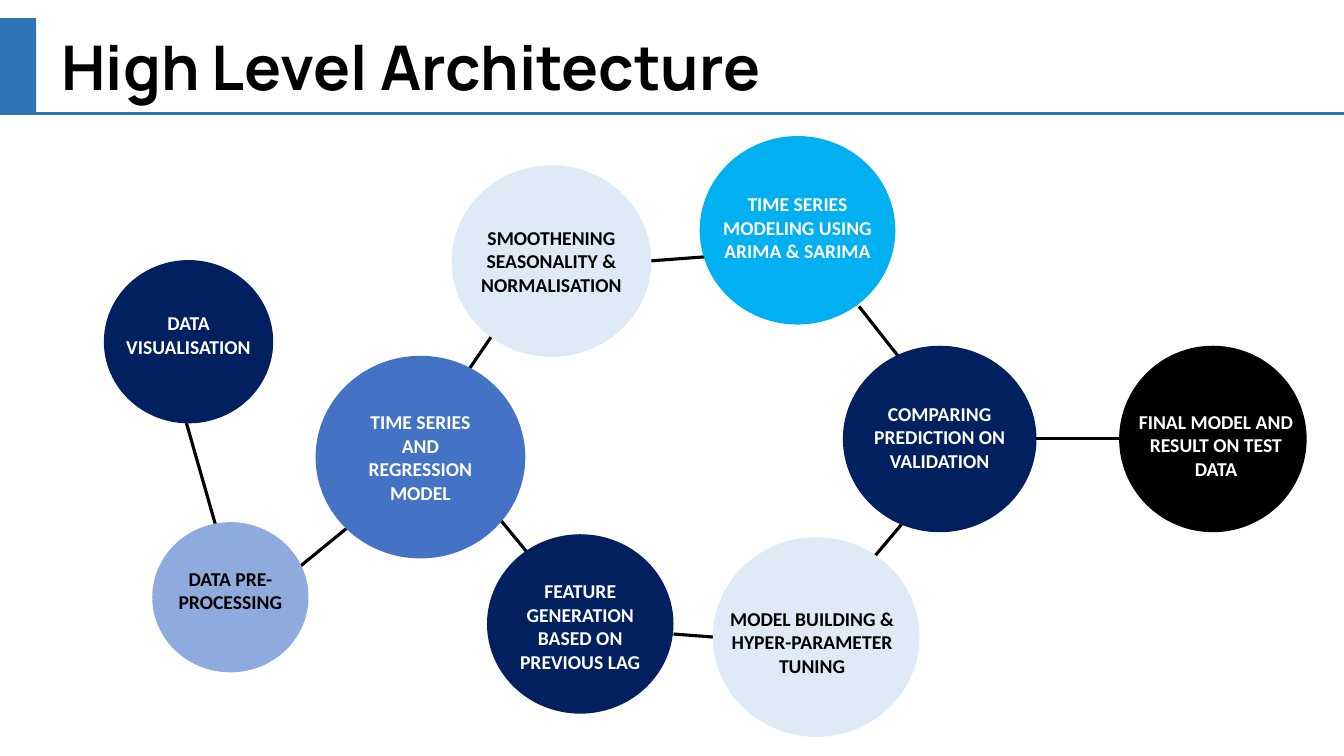
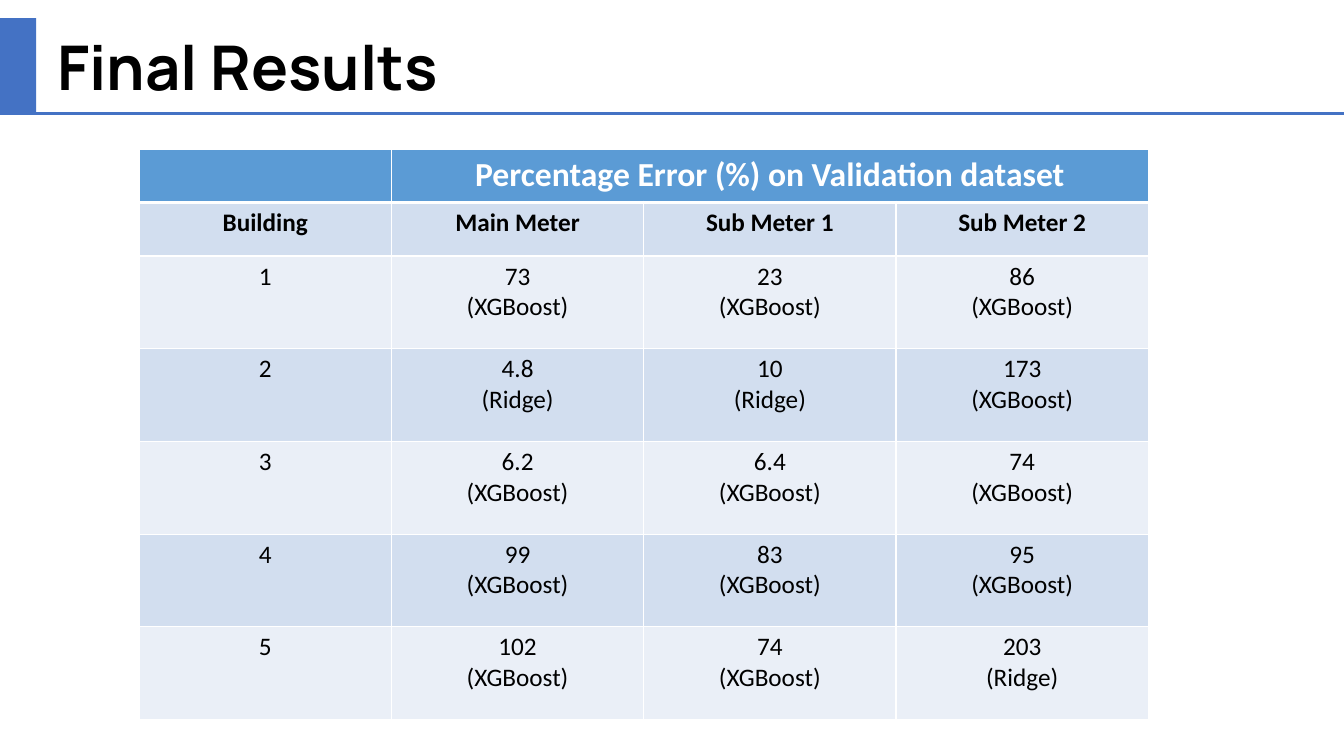
from lxml import etree
from pptx import Presentation
from pptx.dml.color import RGBColor
from pptx.enum import shapes, text
from pptx.oxml import ns
from pptx.util import Inches, Pt

COLORS = {
    "black": "000000", "white": "FFFFFF", "navy": "002060", "steel": "2E75B6",
    "blue": "4472C4", "soft": "8FAADC", "pale": "DEEBF7", "sky": "00B0F0",
    "head": "5B9BD5", "band": "D2DEEF", "band_light": "EAEFF7",
}
TITLE_FONT, BODY_FONT = "Manrope", "Calibri"
SLIDE_W, SLIDE_H = 13.33, 7.5

# left, top, width, height, fill, text colour, label, (label shift x, y, width)
STEPS = [
    (0.03, 1.28, 1.68, 1.62, "navy", "white", "DATA VISUALISATION", (0, -0.07, 1.71)),
    (0.51, 3.88, 1.55, 1.49, "soft", "black", "DATA PRE-PROCESSING", (0, -0.07, 1.75)),
    (2.13, 2.23, 2.08, 2.01, "blue", "white", "TIME SERIES AND REGRESSION MODEL", (0, 0, 1.43)),
    (3.48, 0.34, 1.98, 1.9, "pale", "black", "SMOOTHENING SEASONALITY & NORMALISATION",
     (0, 0, 1.84)),
    (5.94, 0.05, 1.94, 1.87, "sky", "white", "TIME SERIES MODELING USING ARIMA & SARIMA",
     (0, -0.03, 1.98)),
    (3.83, 4, 1.85, 1.78, "navy", "white", "FEATURE GENERATION BASED ON PREVIOUS LAG",
     (0, 0.02, 1.7)),
    (6.07, 4.03, 2.05, 1.98, "pale", "black", "MODEL BUILDING & HYPER-PARAMETER TUNING",
     (-0.04, 0.05, 2.03)),
    (7.36, 2.13, 1.92, 1.85, "navy", "white", "COMPARING PREDICTION ON VALIDATION",
     (0, -0.02, 1.81)),
    (10.1, 2.13, 1.86, 1.85, "black", "white", "FINAL MODEL AND RESULT ON TEST DATA",
     (0.03, 0.06, 1.81)),
]
# Ends of the lines between steps; the circles cover the inner parts
LINKS = [
    (5.68, 4.99, 6.07, 5.02), (6.37, 1.22, 4.76, 1.34), (4.63, 4.67, 3.58, 3.39),
    (1.56, 4.66, 3.27, 3.26), (4.39, 1.28, 3.26, 2.94), (0.67, 2.27, 1.31, 4.51),
    (8, 2.35, 7.52, 1.74), (8.18, 3.62, 7.59, 4.32), (10.1, 3.05, 9.28, 3.05),
]

SPAN_HEAD = "Percentage Error (%) on Validation dataset"
COLUMN_HEADS = ["Building", "Main Meter", "Sub Meter 1", "Sub Meter 2"]
RESULTS = [
    ["1", "73\n(XGBoost)", "23\n(XGBoost)", "86\n(XGBoost)"],
    ["2", "4.8\n(Ridge)", "10\n(Ridge)", "173\n(XGBoost)"],
    ["3", "6.2\n(XGBoost)", "6.4\n(XGBoost)", "74\n(XGBoost)"],
    ["4", "99\n(XGBoost)", "83\n(XGBoost)", "95\n(XGBoost)"],
    ["5", "102\n(XGBoost)", "74\n(XGBoost)", "203\n(Ridge)"],
]


def rgb(name):
    return RGBColor.from_string(COLORS[name])


def style(tf, font, size, color, bold, align):
    for p in tf.paragraphs:
        p.alignment = align
        p.font.name, p.font.size, p.font.bold = font, Pt(size), bold
        p.font.color.rgb = rgb(color)


def add_filled(slide, kind, left, top, width, height, color):
    sp = slide.shapes.add_shape(kind, Inches(left), Inches(top), Inches(width), Inches(height))
    sp.shadow.inherit = False
    sp.fill.solid()
    sp.fill.fore_color.rgb = rgb(color)
    sp.line.fill.background()


def add_line(slide, x1, y1, x2, y2, color):
    line = slide.shapes.add_connector(
        shapes.MSO_CONNECTOR.STRAIGHT, Inches(x1), Inches(y1), Inches(x2), Inches(y2))
    line.line.color.rgb = rgb(color)
    line.line.width = Pt(2.25)
    etree.SubElement(line._element.spPr, ns.qn("a:effectLst"))


def add_titled_slide(prs, title, left, color):
    """Add a slide with its title, side band and rule."""
    slide = prs.slides.add_slide(prs.slide_layouts[5])
    sp = slide.shapes.title
    sp.left, sp.top, sp.width, sp.height = (Inches(n) for n in (left, 0.24, 12, 0.84))
    tf = sp.text_frame
    tf.text = title
    tf.auto_size = text.MSO_AUTO_SIZE.NONE
    tf.vertical_anchor = text.MSO_ANCHOR.TOP
    style(tf, TITLE_FONT, 44, "black", True, text.PP_ALIGN.LEFT)
    add_filled(slide, shapes.MSO_SHAPE.RECTANGLE, 0, 0.18, 0.36, 0.94, color)
    add_line(slide, 0, 1.13, SLIDE_W, 1.13, color)
    return slide


def add_step(slide, left, top, width, height, fill, color, label, shift):
    """Add a circle and a label centred on it, moved by shift."""
    add_filled(slide, shapes.MSO_SHAPE.OVAL, left, top, width, height, fill)
    dx, dy, label_w = shift
    label_left = left + (width - label_w) / 2 + dx
    sp = slide.shapes.add_textbox(
        Inches(label_left), Inches(top + dy), Inches(label_w), Inches(height))
    tf = sp.text_frame
    tf.word_wrap = True
    tf.vertical_anchor = text.MSO_ANCHOR.MIDDLE
    tf.text = label
    style(tf, BODY_FONT, 14, color, True, text.PP_ALIGN.CENTER)


def add_flow(slide, left, top):
    for x1, y1, x2, y2 in LINKS:
        add_line(slide, left + x1, top + y1, left + x2, top + y2, "black")
    for x, y, *rest in STEPS:
        add_step(slide, left + x, top + y, *rest)


def set_borders(cell, top, bottom):
    """Give a cell white borders; top and bottom are widths in points."""
    tc_pr = cell._tc.get_or_add_tcPr()
    for i, (side, width) in enumerate(zip("LRTB", (1, 1, top, bottom))):
        ln = etree.Element(ns.qn(f"a:ln{side}"), w=str(Pt(width)))
        fill = etree.SubElement(ln, ns.qn("a:solidFill"))
        etree.SubElement(fill, ns.qn("a:srgbClr"), val=COLORS["white"])
        tc_pr.insert(i, ln)


def add_results(slide, left, top, width):
    rows = [["", SPAN_HEAD, "", ""], COLUMN_HEADS] + RESULTS
    heights = [0.53, 0.53] + [0.92] * len(RESULTS)
    table = slide.shapes.add_table(
        len(rows), len(COLUMN_HEADS), Inches(left), Inches(top),
        Inches(width), Inches(sum(heights))).table
    table.horz_banding = False
    for r, (values, height) in enumerate(zip(rows, heights)):
        table.rows[r].height = Inches(height)
        fill = "head" if r == 0 else ("band_light", "band")[r % 2]
        size, color = (24, "white") if r == 0 else (18, "black")
        for c, value in enumerate(values):
            cell = table.cell(r, c)
            cell.text = value
            style(cell.text_frame, BODY_FONT, size, color, r < 2, text.PP_ALIGN.CENTER)
            cell.fill.solid()
            cell.fill.fore_color.rgb = rgb(fill)
            set_borders(cell, 3 if r == 1 else 1, 3 if r == 0 else 1)
    table.cell(0, 1).merge(table.cell(0, len(COLUMN_HEADS) - 1))


def main():
    prs = Presentation()
    prs.slide_width, prs.slide_height = Inches(SLIDE_W), Inches(SLIDE_H)
    add_flow(add_titled_slide(prs, "High Level Architecture", 0.51, "steel"), 1, 1.3)
    add_results(add_titled_slide(prs, "Final Results", 0.47, "blue"), 1.38, 1.48, 10.01)
    prs.save("out.pptx")


if __name__ == "__main__":
    main()
